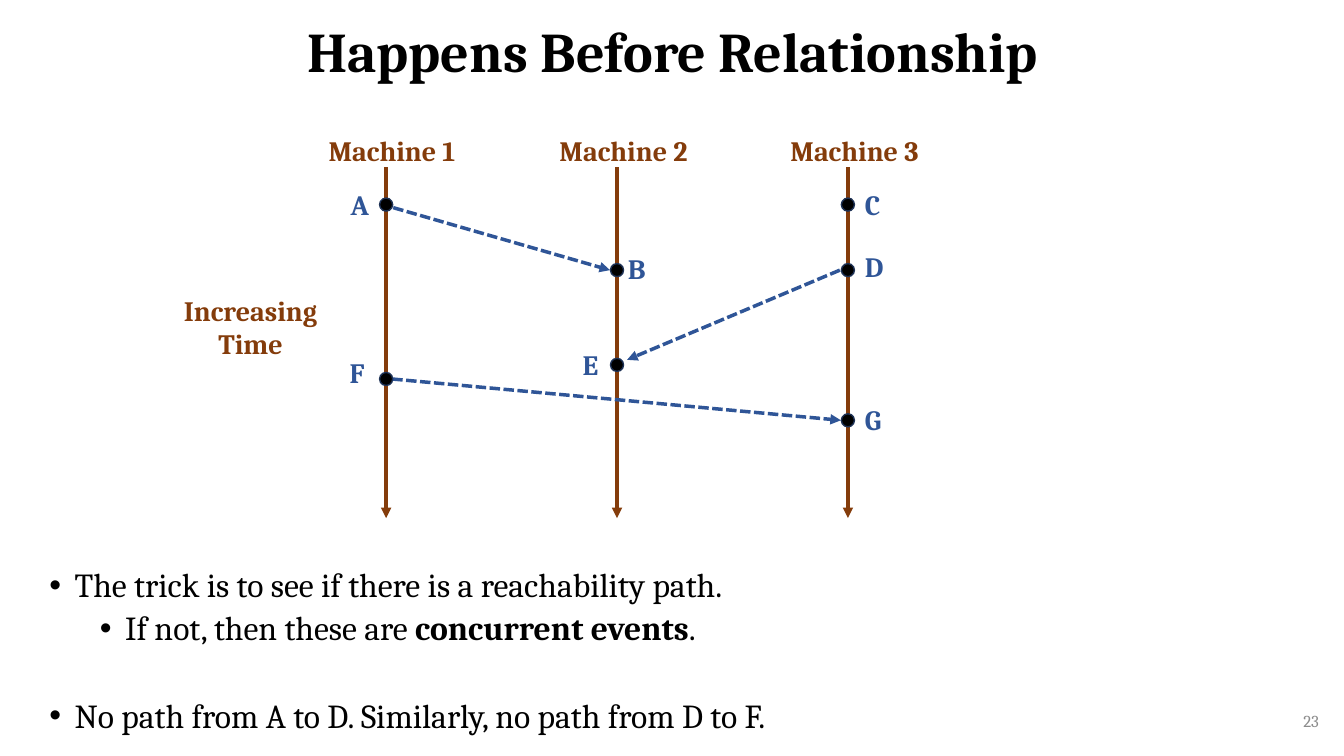
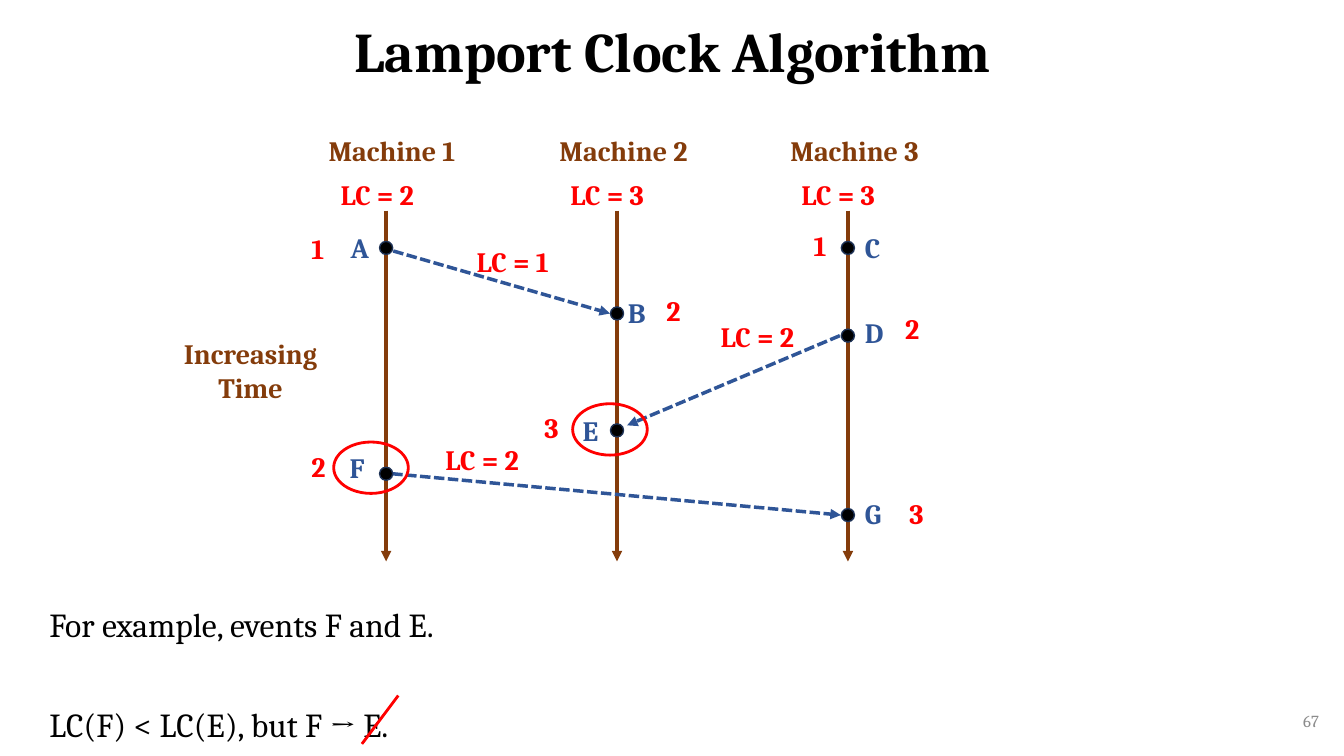
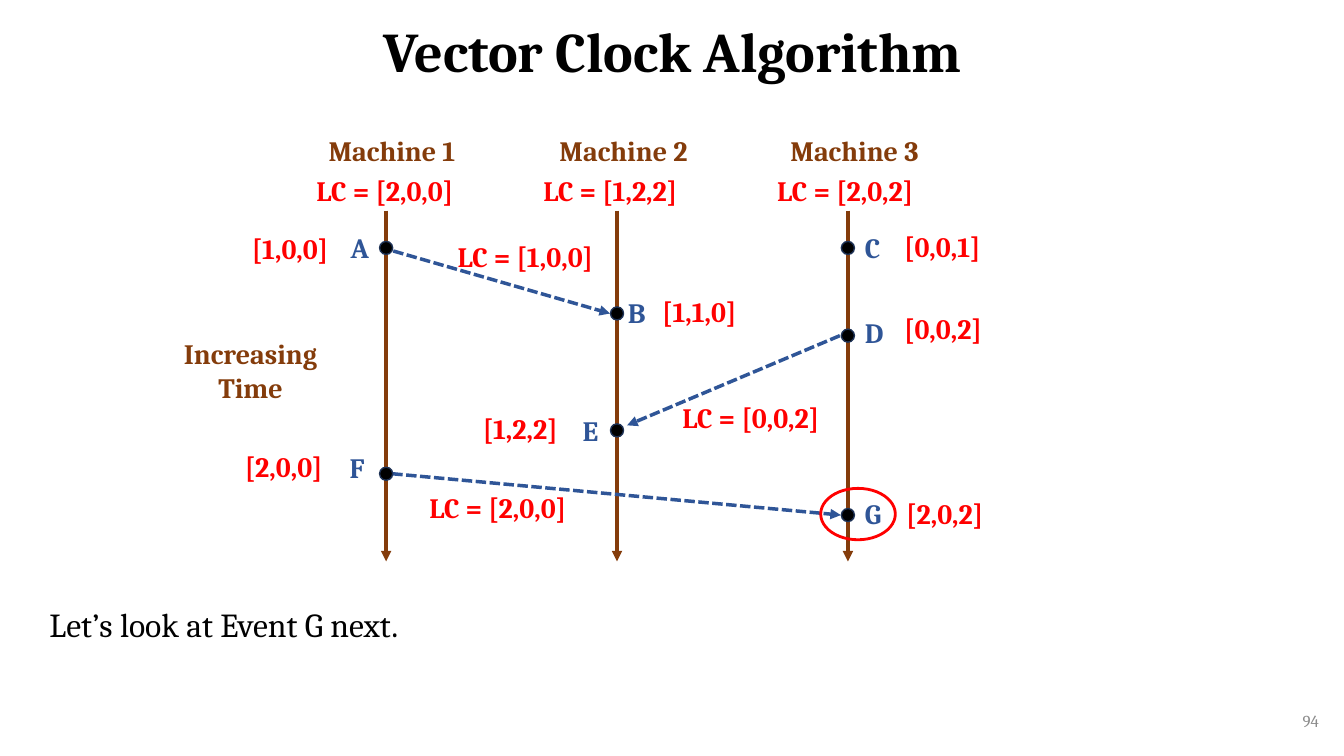
import pptx
import pptx.util
import pptx.dml.color
import pptx.enum.dml
import pptx.enum.shapes
import pptx.enum.text
from lxml import etree

Inches, Pt = pptx.util.Inches, pptx.util.Pt
ALIGN = pptx.enum.text.PP_ALIGN
ANCHOR = pptx.enum.text.MSO_ANCHOR
FIT = pptx.enum.text.MSO_AUTO_SIZE
OVAL = pptx.enum.shapes.MSO_SHAPE.OVAL

# Shared look
FONT = "Cambria"
BLACK, GREY, BROWN, BLUE, RED = "000000", "8C8C8C", "843C0B", "2F5597", "FF0000"
DOT_EDGE = "1E3256"
DOT, RING = 0.13, (0.74, 0.51)
LABEL_HEIGHT = 0.44
NOTE_WIDTHS = {1: 0.31, 6: 0.99, 7: 0.97, 12: 1.7}

# Diagram grid: one column per machine, heights measured from the line tops
FIRST_COLUMN, COLUMN_PITCH, LIFELINE = 3.83, 2.29, 3.48
MACHINES = ["Machine 1", "Machine 2", "Machine 3"]

# Event: machine column, offset of its letter from the dot
EVENTS = {
    "A": (0, -0.45, -0.22), "B": (1, 0.01, -0.23), "C": (2, 0.07, -0.22),
    "D": (2, 0.07, -0.25), "E": (1, -0.44, -0.22), "F": (0, -0.46, -0.28),
    "G": (2, 0.07, -0.23),
}
# Message: sender, receiver, offsets of the arrow's ends from the two dots
MESSAGES = [
    ("A", "B", (0.07, 0.03), (-0.07, 0)),
    ("D", "E", (-0.08, 0), (0.1, -0.05)),
    ("F", "G", (0.06, 0), (-0.07, 0)),
]
COMPACT = dict(A=0.37, B=1.02, C=0.37, D=1.02, E=1.96, F=2.1, G=2.51)
SPREAD = dict(A=0.37, B=1.02, C=0.37, D=1.24, E=2.18, F=2.61, G=3.02)

# Body lines: level (None for no bullet), space before, runs as (text, bold)
# Notes: event, text, offset from the dot; states: top, then text and offset
SLIDES = [
    {
        "title": "Happens Before Relationship", "number": "23",
        "body_at": (0.39, 5.59, 12.02, 1.74),
        "body": [
            (0, 0, [("The trick is to see if there is a reachability path.", False)]),
            (1, 5, [("If not, then these are ", False), ("concurrent events", True),
                    (".", False)]),
            (0, 36.5, [("No path from A to D. Similarly, no path from D to F.", False)]),
        ],
        "top": 1.66, "heights": COMPACT,
    },
    {
        "title": "Lamport Clock Algorithm", "number": "67",
        "body_at": (0.39, 5.99, 12.7, 1.45),
        "body": [
            (None, 0, [("For example, events F and E.", False)]),
            (None, 45.5, [("LC(F) < LC(E), but F → E.", False)]),
        ],
        "top": 2.09, "heights": SPREAD,
        "states_top": 1.71,
        "states": [("LC = 2", -0.55), ("LC = 3", -0.56), ("LC = 3", -0.56)],
        "notes": [
            ("A", "1", -0.84, -0.21), ("B", "2", 0.39, -0.25), ("C", "1", -0.44, -0.24),
            ("D", "2", 0.47, -0.29), ("E", "3", -0.82, -0.25), ("F", "2", -0.84, -0.29),
            ("G", "3", 0.51, -0.23), ("A", "LC = 1", 0.8, -0.08),
            ("D", "LC = 2", -1.36, -0.21), ("F", "LC = 2", 0.49, -0.36),
        ],
        "rings": [("F", -0.15, -0.06), ("E", -0.07, -0.01)],
        "strike": ((3.95, 6.9), (3.59, 7.38)),
    },
    {
        "title": "Vector Clock Algorithm", "number": "94",
        "body_at": (0.39, 5.99, 12.7, 1.45),
        "body": [(None, 0, [("Let’s look at Event G next.", False)])],
        "top": 2.09, "heights": SPREAD,
        "states_top": 1.67,
        "states": [("LC = [2,0,0]", -0.79), ("LC = [1,2,2]", -0.83),
                   ("LC = [2,0,2]", -0.8)],
        "notes": [
            ("A", "[1,0,0]", -1.43, -0.21), ("B", "[1,1,0]", 0.35, -0.24),
            ("C", "[0,0,1]", 0.46, -0.23), ("D", "[0,0,2]", 0.46, -0.29),
            ("E", "[1,2,2]", -1.43, -0.24), ("F", "[2,0,0]", -1.5, -0.29),
            ("G", "[2,0,2]", 0.48, -0.23), ("A", "LC = [1,0,0]", 0.61, -0.13),
            ("D", "LC = [0,0,2]", -1.74, 0.59), ("F", "LC = [2,0,0]", 0.33, 0.12),
        ],
        "rings": [("G", 0.1, -0.01)],
    },
]


def rgb(code):
    return pptx.dml.color.RGBColor.from_string(code)


def add_xml(parent, tag, **attributes):
    return etree.SubElement(parent, pptx.oxml.ns.qn(tag), attributes)


def style(span, size, color, bold=False):
    span.font.name, span.font.size, span.font.bold = FONT, Pt(size), bold
    span.font.color.rgb = rgb(color)


def place(shape, left, top, width, height):
    shape.left, shape.top = Inches(left), Inches(top)
    shape.width, shape.height = Inches(width), Inches(height)


def add_label(page, text, left, top, width, color, size=20, bold=True,
              align=ALIGN.LEFT, height=LABEL_HEIGHT):
    box = page.shapes.add_textbox(Inches(left), Inches(top), Inches(width), Inches(height))
    box.text_frame.word_wrap = True
    box.text_frame.text = text
    for para in box.text_frame.paragraphs:
        para.alignment = align
        for span in para.runs:
            style(span, size, color, bold)
    return box


def add_line(page, start, end, color, width=2.5, dashed=False, arrow=True):
    line = page.shapes.add_connector(
        pptx.enum.shapes.MSO_CONNECTOR.STRAIGHT, *map(Inches, (*start, *end)))
    line.line.color.rgb = rgb(color)
    line.line.width = Pt(width)
    if dashed:
        line.line.dash_style = pptx.enum.dml.MSO_LINE.SQUARE_DOT
    if arrow:
        add_xml(line.line._get_or_add_ln(), "a:tailEnd", type="triangle")
    add_xml(line._element.spPr, "a:effectLst")


def add_oval(page, center, size, edge, width, fill=None):
    (x, y), (wide, high) = center, size
    oval = page.shapes.add_shape(OVAL, Inches(x - wide / 2), Inches(y - high / 2),
                                 Inches(wide), Inches(high))
    oval.shadow.inherit = False
    if fill:
        oval.fill.solid()
        oval.fill.fore_color.rgb = rgb(fill)
    else:
        oval.fill.background()
    oval.line.color.rgb = rgb(edge)
    oval.line.width = Pt(width)


def shift(point, offset):
    return point[0] + offset[0], point[1] + offset[1]


def fill_title(page, text):
    title = page.shapes.title
    place(title, 0.92, 0, 11.5, 1.08)
    frame = title.text_frame
    frame.text = text
    frame.vertical_anchor, frame.auto_size = ANCHOR.MIDDLE, FIT.NONE
    para = frame.paragraphs[0]
    para.alignment, para.line_spacing = ALIGN.CENTER, 0.9
    style(para.runs[0], 40, BLACK, True)


def fill_body(page, lines, position):
    body = page.placeholders[1]
    place(body, *position)
    frame = body.text_frame
    frame.auto_size = FIT.NONE
    for index, (level, gap, spans) in enumerate(lines):
        para = frame.add_paragraph() if index else frame.paragraphs[0]
        para.level = level or 0
        para.line_spacing, para.space_before = 0.9, Pt(gap)
        properties = para._p.get_or_add_pPr()
        bulleted = level is not None
        margin, indent = (0.25 + 0.5 * level, -0.25) if bulleted else (0, 0)
        properties.set("marL", str(Inches(margin)))
        properties.set("indent", str(Inches(indent)))
        if bulleted:
            add_xml(properties, "a:buFont", typeface="Arial")
            add_xml(properties, "a:buChar", char="•")
        else:
            add_xml(properties, "a:buNone")
        for text, bold in spans:
            span = para.add_run()
            span.text = text
            style(span, 24, BLACK, bold)


def draw_diagram(page, content):
    top = content["top"]
    columns = [FIRST_COLUMN + COLUMN_PITCH * i for i in range(len(MACHINES))]
    dots = {name: (columns[EVENTS[name][0]], top + height)
            for name, height in content["heights"].items()}

    # Time axis and machines
    add_label(page, "Increasing\nTime", 1.69, top + 1.2, 1.59, BROWN,
              align=ALIGN.CENTER, height=0.77)
    for x, machine in zip(columns, MACHINES):
        add_line(page, (x, top), (x, top + LIFELINE), BROWN)
        add_label(page, machine, x - 0.67, 1.28, 1.52, BROWN)

    # Messages and events
    for sender, receiver, leave, arrive in MESSAGES:
        add_line(page, shift(dots[sender], leave), shift(dots[receiver], arrive),
                 BLUE, dashed=True)
    for name, (_, *offset) in EVENTS.items():
        add_oval(page, dots[name], (DOT, DOT), DOT_EDGE, 1, BLACK)
        add_label(page, name, *shift(dots[name], offset), 0.4, BLUE)

    # Clock values and highlights
    for x, (text, offset) in zip(columns, content.get("states", [])):
        add_label(page, text, x + offset, content["states_top"],
                  NOTE_WIDTHS[len(text)], RED)
    for name, text, *offset in content.get("notes", []):
        add_label(page, text, *shift(dots[name], offset), NOTE_WIDTHS[len(text)], RED)
    for name, *offset in content.get("rings", []):
        add_oval(page, shift(dots[name], offset), RING, RED, 2)


def main():
    deck = pptx.Presentation()
    deck.slide_width, deck.slide_height = Inches(13.33), Inches(7.5)
    for content in SLIDES:
        page = deck.slides.add_slide(deck.slide_layouts[1])
        fill_title(page, content["title"])
        fill_body(page, content["body"], content["body_at"])
        number = add_label(page, content["number"], 10.18, 6.95, 3, GREY, size=12,
                           bold=False, align=ALIGN.RIGHT, height=0.4)
        number.text_frame.vertical_anchor = ANCHOR.MIDDLE
        draw_diagram(page, content)
        if "strike" in content:
            add_line(page, *content["strike"], RED, width=2, arrow=False)
    deck.save("out.pptx")


if __name__ == "__main__":
    main()
